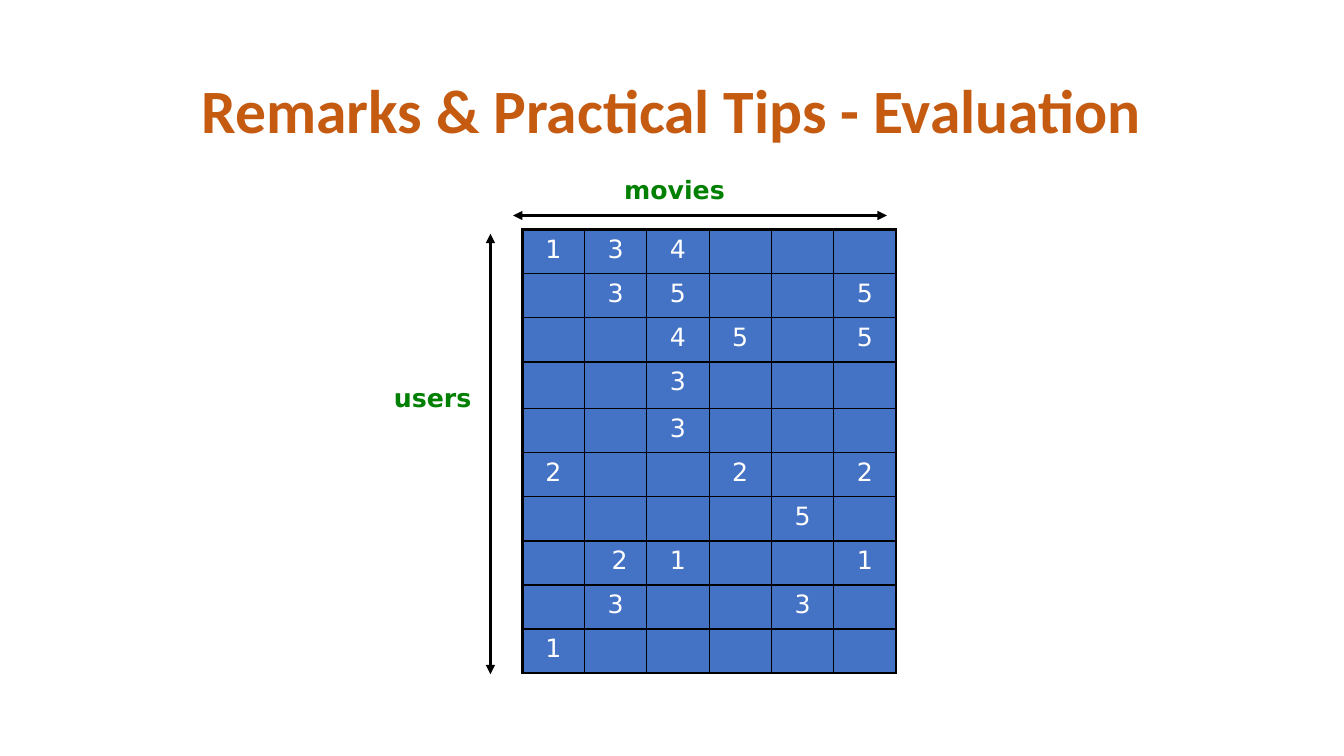
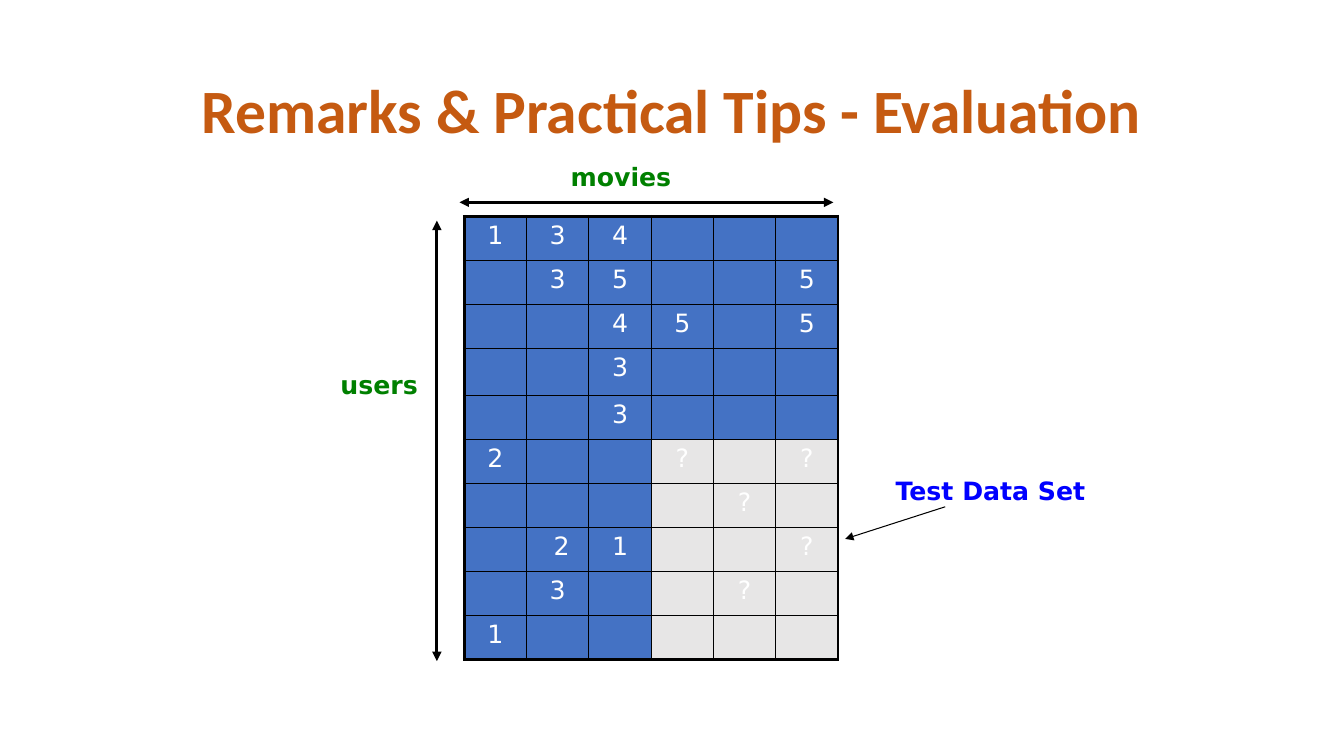
"""Build two slides about evaluating a user-by-movie rating matrix."""
from lxml import etree
from pptx import Presentation
from pptx.dml import color
from pptx.enum import shapes, text
from pptx.oxml import ns
from pptx.util import Cm, Pt

BLACK, WHITE, BLUE, GREY = "000000", "FFFFFF", "4472C4", "E7E6E6"
ORANGE, GREEN, BRIGHT_BLUE = "C55A11", "008000", "0000FF"
TITLE_FORMAT = {"name": "Calibri", "size": Pt(44), "bold": True}
LABEL_FORMAT = {"name": "DejaVu Sans", "size": Pt(18), "bold": True}
CELL_FORMAT = {"name": "DejaVu Sans", "size": Pt(18), "bold": False}
THIN, THICK = 1, 2.25
COLUMN_WIDTH, ROW_HEIGHT, TALL_ROW_HEIGHT = 1.57, 1.11, 1.18
TALL_ROW, TEST_ROW, TEST_COLUMN = 3, 5, 3
TITLE = "Remarks & Practical Tips - Evaluation"
RATINGS = [row.split(",") for row in (
    "1,3,4,,,",
    ",3,5,,,5",
    ",,4,5,,5",
    ",,3,,,",
    ",,3,,,",
    "2,,,2,,2",
    ",,,,5,",
    ", 2,1,,,1",
    ",3,,,3,",
    "1,,,,,",
)]


def rgb(value):
    """Return the colour for a hex string."""
    return color.RGBColor.from_string(value)


def set_attributes(target, values):
    """Set every attribute named in a dict of format values."""
    for name, value in values.items():
        setattr(target, name, value)


def format_font(font, values, colour):
    """Apply format values and a colour to a font."""
    set_attributes(font, values)
    font.color.rgb = rgb(colour)


def add_element(parent, tag, **attributes):
    """Append a drawing element with the given attributes."""
    return etree.SubElement(parent, ns.qn(tag), attributes)


def add_title_slide(presentation, title):
    """Add a slide with the shared title style."""
    slide = presentation.slides.add_slide(presentation.slide_layouts[5])
    shape = slide.shapes.title
    set_attributes(shape, {"left": Cm(2.33), "top": Cm(1.01),
                           "width": Cm(29.21), "height": Cm(3.68)})
    frame = shape.text_frame
    frame.text = title
    set_attributes(frame, {"auto_size": text.MSO_AUTO_SIZE.NONE,
                           "vertical_anchor": text.MSO_ANCHOR.MIDDLE})
    paragraph = frame.paragraphs[0]
    set_attributes(paragraph, {"alignment": text.PP_ALIGN.CENTER,
                               "line_spacing": 0.9})
    format_font(paragraph.runs[0].font, TITLE_FORMAT, ORANGE)
    return slide


def add_label(slide, wording, left, top, width, colour, centred=False):
    """Add a bold label, wrapped only when it is centred."""
    shape = slide.shapes.add_textbox(Cm(left), Cm(top), Cm(width), Cm(1.02))
    frame = shape.text_frame
    frame.text = wording
    set_attributes(frame, {"word_wrap": centred,
                           "auto_size": text.MSO_AUTO_SIZE.SHAPE_TO_FIT_TEXT})
    paragraph = frame.paragraphs[0]
    paragraph.alignment = (text.PP_ALIGN.CENTER if centred
                           else text.PP_ALIGN.LEFT)
    format_font(paragraph.runs[0].font, LABEL_FORMAT, colour)


def add_arrow(slide, start, end, width, both_ends=True):
    """Add a straight black arrow between two points."""
    arrow = slide.shapes.add_connector(
        shapes.MSO_CONNECTOR.STRAIGHT, *map(Cm, start + end))
    arrow.line.color.rgb = rgb(BLACK)
    arrow.line.width = Pt(width)
    line = arrow.line._get_or_add_ln()
    if both_ends:
        add_element(line, "a:headEnd", type="triangle")
    add_element(line, "a:tailEnd", type="triangle")
    add_element(arrow._element.spPr, "a:effectLst")


def set_borders(cell, outer_sides):
    """Draw black cell borders, thick on the outer sides."""
    properties = cell._tc.get_or_add_tcPr()
    for side in "LRTB":
        width = THICK if side in outer_sides else THIN
        border = add_element(properties, f"a:ln{side}", w=str(Pt(width)))
        fill = add_element(border, "a:solidFill")
        add_element(fill, "a:srgbClr", val=BLACK)


def fill_cell(cell, wording, colour, outer_sides):
    """Write and format one rating cell."""
    set_borders(cell, outer_sides)
    cell.fill.solid()
    cell.fill.fore_color.rgb = rgb(colour)
    paragraph = cell.text_frame.paragraphs[0]
    paragraph.alignment = text.PP_ALIGN.CENTER
    spacing = add_element(paragraph._p.get_or_add_pPr(), "a:spcBef")
    add_element(spacing, "a:spcPct", val="20000")
    if wording:
        run = paragraph.add_run()
        run.text = wording
        format_font(run.font, CELL_FORMAT, WHITE)


def add_ratings(slide, left, top, hide_test):
    """Add the rating matrix, hiding its test block on request."""
    row_count, column_count = len(RATINGS), len(RATINGS[0])
    height = ROW_HEIGHT * (row_count - 1) + TALL_ROW_HEIGHT
    table = slide.shapes.add_table(
        row_count, column_count, Cm(left), Cm(top),
        Cm(COLUMN_WIDTH * column_count), Cm(height)).table
    set_attributes(table, {"first_row": False, "horz_banding": False})
    for column in table.columns:
        column.width = Cm(COLUMN_WIDTH)
    for row_index, ratings in enumerate(RATINGS):
        table.rows[row_index].height = Cm(
            TALL_ROW_HEIGHT if row_index == TALL_ROW else ROW_HEIGHT)
        for column_index, rating in enumerate(ratings):
            hidden = (hide_test and row_index >= TEST_ROW
                      and column_index >= TEST_COLUMN)
            edges = {"L": column_index == 0, "T": row_index == 0,
                     "R": column_index == column_count - 1,
                     "B": row_index == row_count - 1}
            fill_cell(table.cell(row_index, column_index),
                      "?" if hidden and rating else rating,
                      GREY if hidden else BLUE,
                      [side for side, outer in edges.items() if outer])


def add_axes(slide, left, top):
    """Add the movies and users axes around a corner point."""
    across, down = top - 0.46, left - 0.57
    add_label(slide, "movies", left + 2.55, top - 1.61, 3.07, GREEN)
    add_label(slide, "users", left - 4.5, top + 3.61, 4.95, GREEN, True)
    add_arrow(slide, (down, top), (down, top + 11.1), THICK)
    add_arrow(slide, (left, across), (left + 9.42, across), THICK)


def add_test_callout(slide, left, top):
    """Point out the test block of the matrix at the given corner."""
    add_label(slide, "Test Data Set", left + 10.62, top + 6.4, 5.33,
              BRIGHT_BLUE)
    add_arrow(slide, (left + 12.12, top + 7.32), (left + 9.6, top + 8.13),
              0.75, both_ends=False)


def add_matrix_slide(presentation, matrix, axes, hide_test=False):
    """Add one slide with the matrix and its axes."""
    slide = add_title_slide(presentation, TITLE)
    add_ratings(slide, *matrix, hide_test)
    add_axes(slide, *axes)
    if hide_test:
        add_test_callout(slide, *matrix)


def main():
    """Build and save the presentation."""
    presentation = Presentation()
    set_attributes(presentation, {"slide_width": Cm(33.87),
                                  "slide_height": Cm(19.05)})
    add_matrix_slide(presentation, (13.16, 5.79), (12.93, 5.89))
    add_matrix_slide(presentation, (11.7, 5.45), (11.58, 5.56), True)
    presentation.save("out.pptx")


if __name__ == "__main__":
    main()
